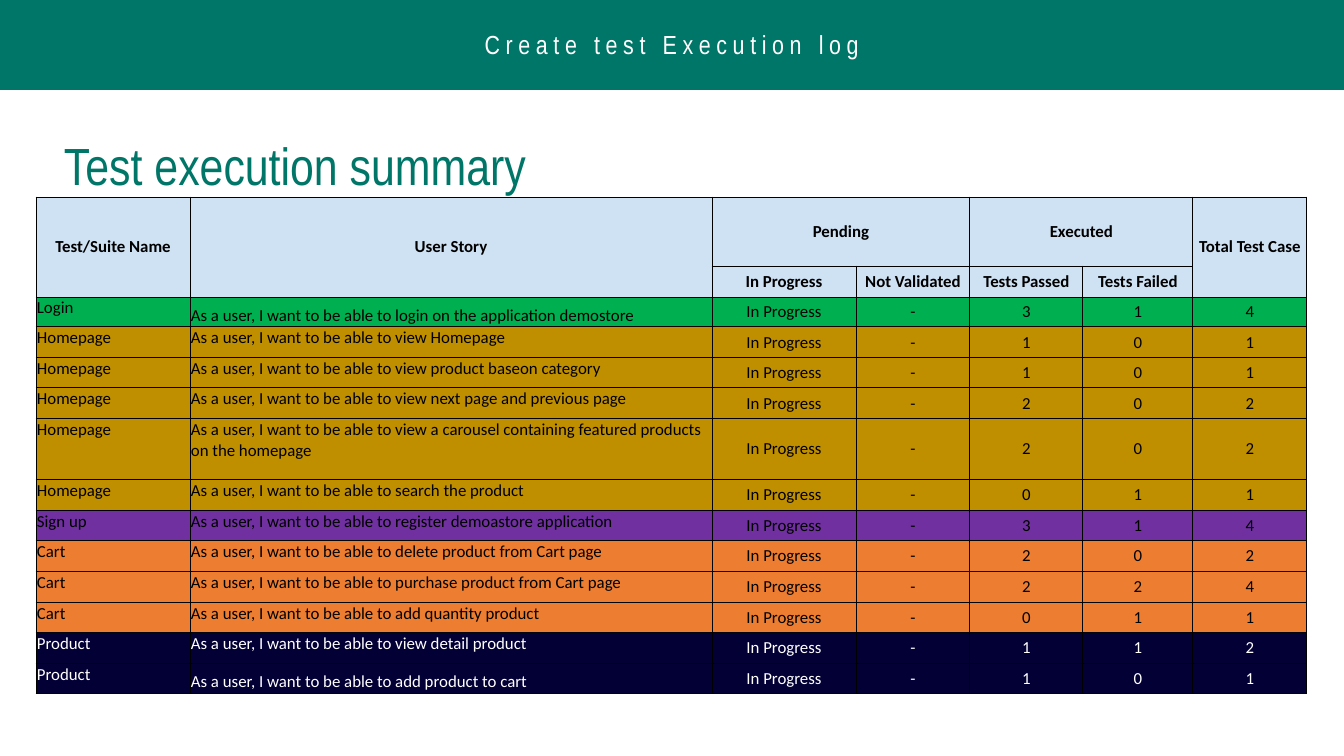
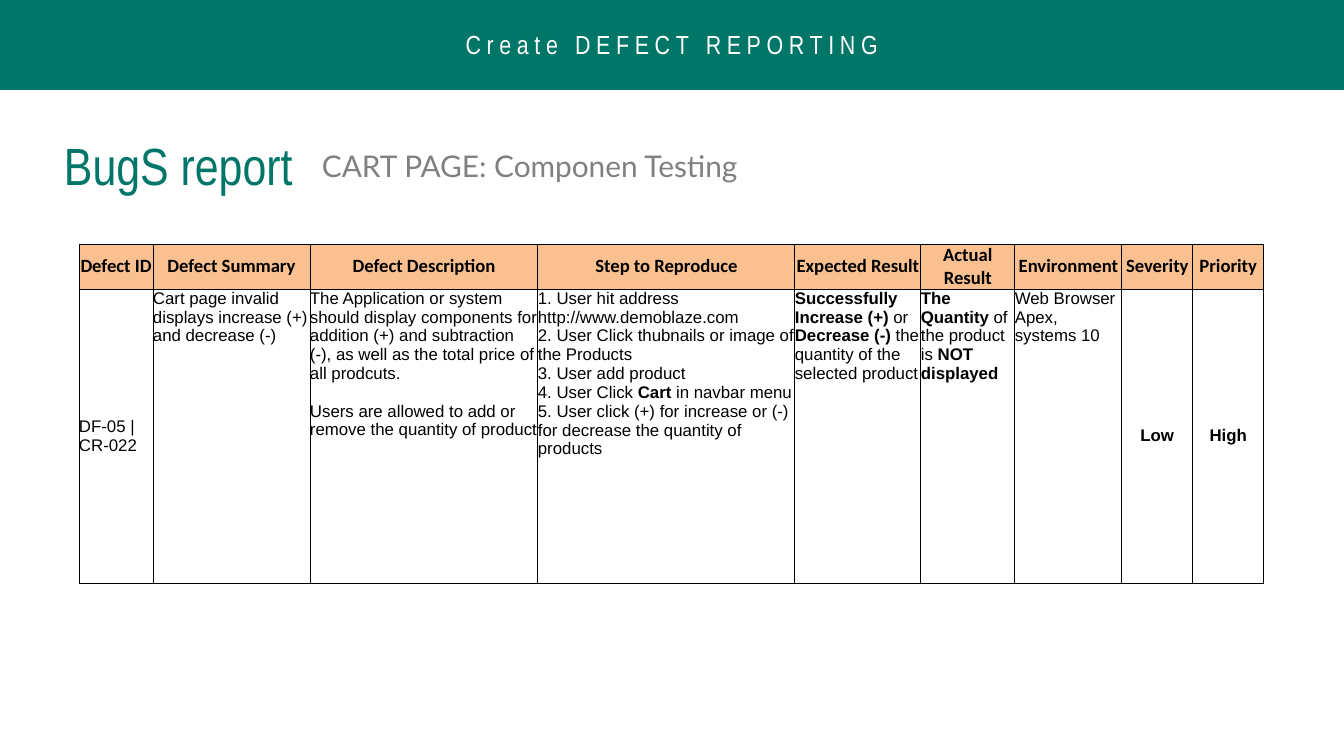
from lxml.etree import SubElement
from pptx import Presentation
from pptx.dml.color import RGBColor
from pptx.enum.shapes import MSO_SHAPE
from pptx.enum.text import MSO_ANCHOR, PP_ALIGN
from pptx.oxml.ns import qn
from pptx.util import Emu, Pt

GREEN = "007668"
BLACK = "000000"
WHITE = "FFFFFF"
GREY = "808080"
HEADER_BLUE = "CFE2F3"
HEADER_PEACH = "FAC090"

BAND_TEXT = {"name": "Arial Narrow", "size": Pt(14), "color": WHITE}
TITLE_TEXT = {"name": "Arial Narrow", "size": Pt(28), "color": GREEN}
SUBTITLE_TEXT = {"name": "Lato", "size": Pt(16), "color": GREY}
SUMMARY_TEXT = {"name": "Calibri", "size": Pt(9), "color": BLACK}
DEFECT_HEADER_TEXT = {"name": "Calibri", "size": Pt(10), "color": BLACK, "bold": True}
DEFECT_TEXT = {"name": "Arial", "size": Pt(9), "color": BLACK}

CENTERED = {"anchor": MSO_ANCHOR.MIDDLE, "align": PP_ALIGN.CENTER}
MIDDLE = {"anchor": MSO_ANCHOR.MIDDLE, "align": PP_ALIGN.LEFT}
TOP = {"anchor": MSO_ANCHOR.TOP, "align": PP_ALIGN.LEFT}
BOTTOM = {"anchor": MSO_ANCHOR.BOTTOM, "align": PP_ALIGN.LEFT}

SUITE_COLORS = {
    "Login": "00B050",
    "Homepage": "BF8F00",
    "Sign up": "7030A0",
    "Cart": "ED7D31",
    "Product": "030036",
}
SUMMARY_COLUMNS = [154, 522, 144, 114, 113, 110, 114]
SUMMARY_ROWS = [69, 31, 30, 31, 30, 31, 61, 31, 30, 31, 31, 30, 31, 30]
SUMMARY_HEADERS = [
    (0, 0, 1, 0, "Test/Suite Name"),
    (0, 1, 1, 1, "User Story"),
    (0, 2, 0, 3, "Pending"),
    (0, 4, 0, 5, "Executed"),
    (0, 6, 1, 6, "Total Test Case"),
    (1, 2, 1, 2, "In Progress"),
    (1, 3, 1, 3, "Not Validated"),
    (1, 4, 1, 4, "Tests Passed"),
    (1, 5, 1, 5, "Tests Failed"),
]
STORIES = [
    ("Login", "login on the application demostore", 3, 1, BOTTOM),
    ("Homepage", "view Homepage", 1, 0, TOP),
    ("Homepage", "view product baseon category", 1, 0, TOP),
    ("Homepage", "view next page and previous page", 2, 0, TOP),
    ("Homepage", "view a carousel containing featured products on the homepage", 2, 0, TOP),
    ("Homepage", "search the product", 0, 1, TOP),
    ("Sign up", "register demoastore application", 3, 1, TOP),
    ("Cart", "delete product from Cart page", 2, 0, TOP),
    ("Cart", "purchase product from Cart page", 2, 2, TOP),
    ("Cart", "add quantity product", 0, 1, TOP),
    ("Product", "view detail product", 1, 1, TOP),
    ("Product", "add product to cart", 1, 0, BOTTOM),
]

DEFECT_COLUMNS = [
    ("Defect ID", 74, MIDDLE, ["DF-05 | CR-022"]),
    ("Defect Summary", 157, TOP, ["Cart page invalid displays increase (+) and decrease (-)"]),
    ("Defect Description", 228, TOP, [
        "The Application or system should display components for addition (+) and "
        "subtraction (-), as well as the total price of all prodcuts.",
        "Users are allowed to add or remove the quantity of product",
    ]),
    ("Step to Reproduce", 257, TOP, [
        "1. User hit address http://www.demoblaze.com\n"
        "2. User Click thubnails or image of the Products\n"
        "3. User add product\n"
        "4. User Click **Cart **in navbar menu\n"
        "5. User click (+) for increase or (-) for decrease the quantity of products",
    ]),
    ("Expected Result", 126, TOP, [
        "**Successfully Increase (+)** or **Decrease (-) **the quantity of the selected product",
    ]),
    ("Actual Result", 94, TOP, ["**The Quantity** of the product is **NOT displayed**"]),
    ("Environment", 107, TOP, ["Web Browser Apex, systems 10"]),
    ("Severity", 71, CENTERED, ["**Low**"]),
    ("Priority", 71, CENTERED, ["**High**"]),
]


def rgb(value):
    return RGBColor.from_string(value)


def px(value):
    return Emu(round(value * 9144000 / 1344))


class Deck:
    def __init__(self):
        self.presentation = Presentation()
        self.presentation.slide_width = px(1344)
        self.presentation.slide_height = px(756)
        self.slide = None

    def start_slide(self, band, title, title_width):
        self.slide = self.presentation.slides.add_slide(self.presentation.slide_layouts[6])
        self.band(band)
        self.text(title, 51, 120, title_width, 90, TITLE_TEXT)

    def set_margins(self, target, margin):
        for side in ("left", "right", "top", "bottom"):
            setattr(target, f"margin_{side}", px(margin))

    def fill_text(self, frame, paragraphs, style, align=PP_ALIGN.LEFT):
        for index, content in enumerate(paragraphs):
            paragraph = frame.add_paragraph() if index else frame.paragraphs[0]
            paragraph.alignment = align
            if index:
                paragraph.space_before = Pt(10)
            for part, fragment in enumerate(content.split("**")):
                for line, words in enumerate(fragment.split("\n")):
                    if line:
                        paragraph.add_line_break()
                    if words:
                        run = paragraph.add_run()
                        run.text = words
                        self.format_run(run, {"bold": part % 2 == 1} | style)

    def format_run(self, run, style):
        for key, value in style.items():
            if key == "color":
                run.font.color.rgb = rgb(value)
            else:
                setattr(run.font, key, value)

    def band(self, content):
        shape = self.slide.shapes.add_shape(MSO_SHAPE.RECTANGLE, 0, 0, px(1344), px(89))
        shape.shadow.inherit = False
        shape.fill.solid()
        shape.fill.fore_color.rgb = rgb(GREEN)
        shape.line.color.rgb = rgb(GREEN)
        shape.line.width = Pt(0.75)
        frame = shape.text_frame
        frame.vertical_anchor = MSO_ANCHOR.MIDDLE
        self.set_margins(frame, 13)
        self.fill_text(frame, [content], BAND_TEXT, PP_ALIGN.CENTER)
        for run in frame.paragraphs[0].runs:
            run._r.get_or_add_rPr().set("spc", "300")

    def text(self, content, left, top, width, height, style):
        shape = self.slide.shapes.add_textbox(px(left), px(top), px(width), px(height))
        frame = shape.text_frame
        frame.word_wrap = True
        self.set_margins(frame, 13)
        self.fill_text(frame, [content], style)

    def table(self, left, top, columns, rows):
        table = self.slide.shapes.add_table(
            len(rows), len(columns), px(left), px(top), px(sum(columns)), px(sum(rows))
        ).table
        table.first_row = False
        table.horz_banding = False
        for column, width in zip(table.columns, columns):
            column.width = px(width)
        for row, height in zip(table.rows, rows):
            row.height = px(height)
        for cell in table.iter_cells():
            self.border(cell)
        return table

    def border(self, cell):
        properties = cell._tc.get_or_add_tcPr()
        for side in ("lnL", "lnR", "lnT", "lnB"):
            line = SubElement(properties, qn(f"a:{side}"), w=str(Pt(0.5)))
            fill = SubElement(line, qn("a:solidFill"))
            SubElement(fill, qn("a:srgbClr"), val=BLACK)

    def cell(self, cell, paragraphs, style, place, fill=None, margin=0):
        if fill:
            cell.fill.solid()
            cell.fill.fore_color.rgb = rgb(fill)
        else:
            cell.fill.background()
        self.set_margins(cell, margin)
        cell.vertical_anchor = place["anchor"]
        self.fill_text(cell.text_frame, paragraphs, style, place["align"])


def add_summary(deck):
    deck.start_slide("Create test Execution log", "Test execution summary", 781)
    table = deck.table(36, 197, SUMMARY_COLUMNS, SUMMARY_ROWS)
    header_style = SUMMARY_TEXT | {"bold": True}
    for top, left, bottom, right, label in SUMMARY_HEADERS:
        cell = table.cell(top, left)
        if (top, left) != (bottom, right):
            cell.merge(table.cell(bottom, right))
        deck.cell(cell, [label], header_style, CENTERED, HEADER_BLUE, 1)
    for row, (suite, goal, passed, failed, story_place) in enumerate(STORIES, 2):
        style = SUMMARY_TEXT | {"color": WHITE if suite == "Product" else BLACK}
        story = f"As a user, I want to be able to {goal}"
        values = [suite, story, "In Progress", "-", passed, failed, passed + failed]
        places = [TOP, story_place] + [CENTERED] * 5
        for column, (value, place) in enumerate(zip(values, places)):
            deck.cell(table.cell(row, column), [str(value)], style, place, SUITE_COLORS[suite], 1)


def add_defects(deck):
    deck.start_slide("Create DEFECT REPORTING", "BugS report", 258)
    deck.text("CART PAGE: Componen Testing", 309, 135, 523, 63, SUBTITLE_TEXT)
    widths = [width for _, width, _, _ in DEFECT_COLUMNS]
    table = deck.table(79, 244, widths, [45, 294])
    for column, (header, _, place, paragraphs) in enumerate(DEFECT_COLUMNS):
        deck.cell(table.cell(0, column), [header], DEFECT_HEADER_TEXT, CENTERED, HEADER_PEACH)
        deck.cell(table.cell(1, column), paragraphs, DEFECT_TEXT, place)


def main():
    deck = Deck()
    add_summary(deck)
    add_defects(deck)
    deck.presentation.save("out.pptx")


if __name__ == "__main__":
    main()
